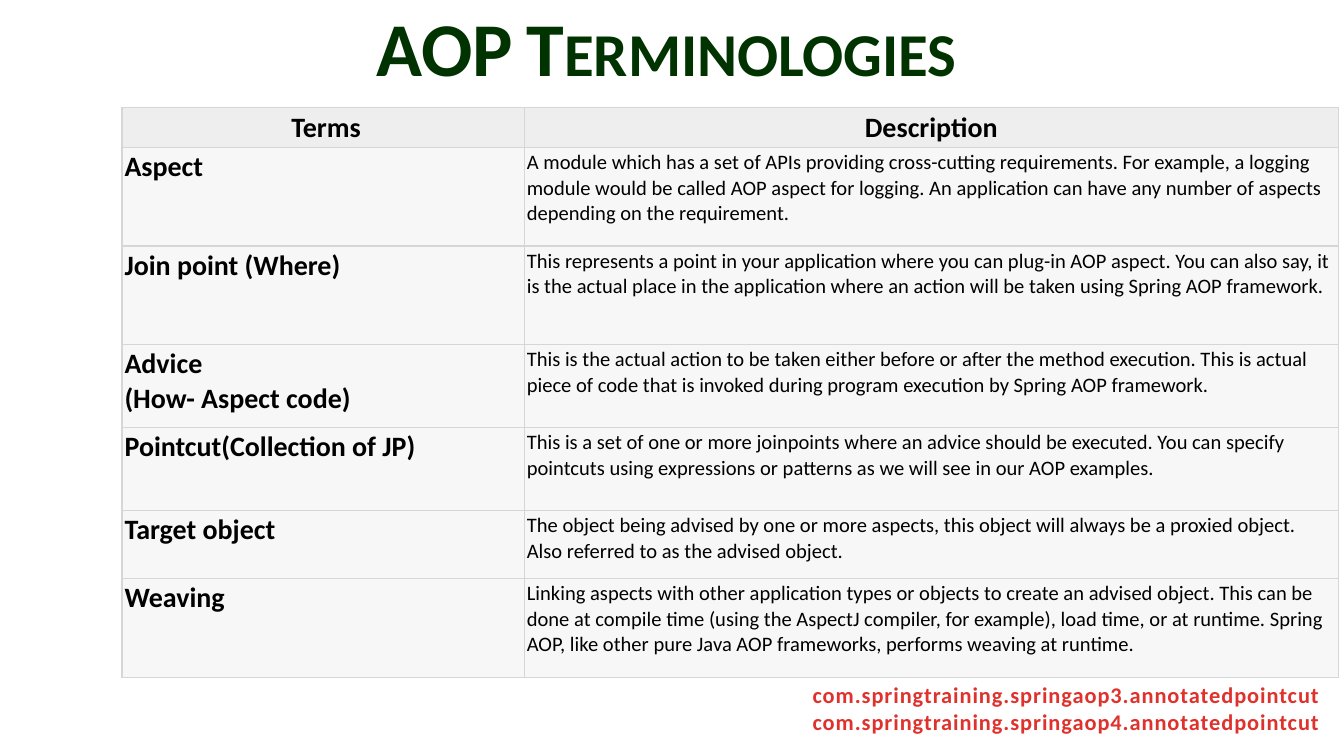
"""Build the slide of AOP terminologies."""
from lxml import etree
from pptx import Presentation
from pptx import util as u
from pptx.dml.color import RGBColor
from pptx.enum import text as t
from pptx.oxml.ns import qn

TITLE = "AOP Terminologies"
HEAD = (" Terms", "Description")
ROWS = [
    ("Aspect", "A module which has a set of APIs providing cross-cutting requirements. For example, a logging module would be called AOP aspect for logging. An application can have any number of aspects depending on the requirement.", 52.8),
    ("Join point (Where)", "This represents a point in your application where you can plug-in AOP aspect. You can also say, it is the actual place in the application where an action will be taken using Spring AOP framework.", 52.8),
    ("Advice\n(How- Aspect code)", "This is the actual action to be taken either before or after the method execution. This is actual piece of code that is invoked during program execution by Spring AOP framework.", 44.5),
    ("Pointcut(Collection of JP)", "This is a set of one or more joinpoints where an advice should be executed. You can specify pointcuts using expressions or patterns as we will see in our AOP examples.", 44.5),
    ("Target object", "The object being advised by one or more aspects, this object will always be a proxied object. Also referred to as the advised object.", 36.4),
    ("Weaving", "Linking aspects with other application types or objects to create an advised object. This can be done at compile time (using the AspectJ compiler, for example), load time, or at runtime. Spring AOP, like other pure Java AOP frameworks, performs weaving at runtime.", 53),
]
CODE = "\n".join(f"com.springtraining.springaop{n}.annotatedpointcut" for n in (3, 4))

THEME = {
    "font": "Calibri",
    "title": {"size": 40.7, "bold": True, "color": "003300"},
    "term": {"size": 15, "bold": True, "color": "000000"},
    "desc": {"size": 11, "bold": False, "color": "000000"},
    "code": {"size": 12, "bold": True, "color": "E0322D"},
    "head": "EEEEEE",
    "body": "F7F7F7",
    "edge": "D6D6D6",
}
COLS = (215.5, 436.2)
HEADROW = 21.2
LEFT, MID = t.PP_ALIGN.LEFT, t.PP_ALIGN.CENTER


def assign(obj, vals):
    for key, val in vals.items():
        setattr(obj, key, val)


def place(shape, *box):
    assign(shape, dict(zip(("left", "top", "width", "height"), map(u.Pt, box))))


def write(frame, words, style, align, **extra):
    look = THEME[style]
    frame.text = words
    for para in frame.paragraphs:
        para.alignment = align
        for run in para.runs:
            assign(run.font, {"name": THEME["font"], "size": u.Pt(look["size"]), "bold": look["bold"]})
            run.font.color.rgb = RGBColor.from_string(look["color"])
            for key, val in extra.items():
                run.font._element.set(key, val)


def edge(cell):
    props = cell._tc.get_or_add_tcPr()
    for side in ("lnL", "lnR", "lnT", "lnB"):
        line = etree.SubElement(props, qn(f"a:{side}"), w=str(u.Pt(0.75)))
        fill = etree.SubElement(line, qn("a:solidFill"))
        etree.SubElement(fill, qn("a:srgbClr"), val=THEME["edge"])


def paint(cell, words, style, align, fill):
    gap = u.Pt(1.44)
    assign(cell, {f"margin_{side}": gap for side in ("left", "right", "top", "bottom")})
    write(cell.text_frame, words, style, align)
    edge(cell)
    cell.fill.solid()
    cell.fill.fore_color.rgb = RGBColor.from_string(THEME[fill])


def main():
    deck = Presentation()
    assign(deck, {"slide_width": u.Pt(720), "slide_height": u.Pt(405)})
    slide = deck.slides.add_slide(deck.slide_layouts[5])

    title = slide.shapes.title
    place(title, -3, -0.7, 720, 50.4)
    assign(title.text_frame, {"auto_size": t.MSO_AUTO_SIZE.NONE, "vertical_anchor": t.MSO_ANCHOR.MIDDLE})
    write(title.text_frame, TITLE, "title", MID, cap="small")

    highs = [HEADROW] + [row[2] for row in ROWS]
    box = map(u.Pt, (65.3, 57.8, sum(COLS), sum(highs)))
    table = slide.shapes.add_table(len(highs), len(COLS), *box).table
    assign(table, {"first_row": False, "horz_banding": False})
    for col, width in zip(table.columns, COLS):
        col.width = u.Pt(width)
    for row, high in zip(table.rows, highs):
        row.height = u.Pt(high)
    for c, words in enumerate(HEAD):
        paint(table.cell(0, c), words, "term", MID, "head")
    for r, row in enumerate(ROWS, 1):
        for c, style in enumerate(("term", "desc")):
            paint(table.cell(r, c), row[c], style, LEFT, "body")

    code = slide.shapes.add_textbox(0, 0, 0, 0)
    place(code, 426.2, 361.5, 290.2, 36)
    assign(code.text_frame, {"word_wrap": False, "auto_size": t.MSO_AUTO_SIZE.SHAPE_TO_FIT_TEXT})
    write(code.text_frame, CODE, "code", MID, spc="50")

    deck.save("out.pptx")


if __name__ == "__main__":
    main()
